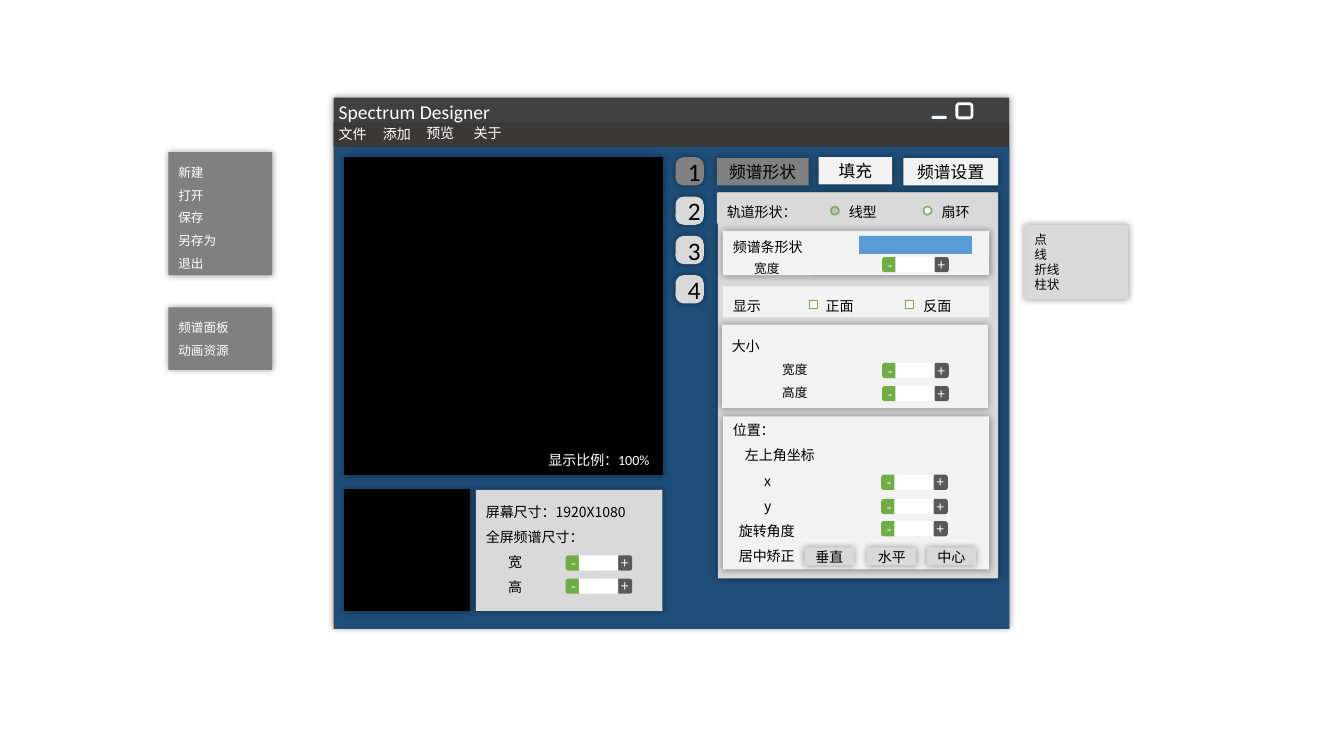
from lxml import etree
from pptx import Presentation
from pptx import util as u
from pptx.dml.color import RGBColor
from pptx.enum import shapes, text
from pptx.oxml.ns import qn

PX = 9144  # EMU per px, 100 px to the inch
CJK, LATIN = "Noto Sans CJK SC", "Calibri"
BLACK, WHITE = "000000", "FFFFFF"
LIGHT, PALE, GREY = "D9D9D9", "F2F2F2", "808080"
GREEN, DARK = "70AD47", "595959"
RECT = shapes.MSO_SHAPE.RECTANGLE
ROUND = shapes.MSO_SHAPE.ROUNDED_RECTANGLE
OVAL = shapes.MSO_SHAPE.OVAL
LEFT, CENTER = text.PP_ALIGN.LEFT, text.PP_ALIGN.CENTER
TOP, MIDDLE, BOTTOM = (text.MSO_ANCHOR.TOP, text.MSO_ANCHOR.MIDDLE,
                       text.MSO_ANCHOR.BOTTOM)


def rgb(value):
    return RGBColor.from_string(value)


def write(box, lines, size=10, color=BLACK, font=CJK, align=LEFT, anchor=MIDDLE,
          spacing=1.0, indents=(), sizes=(), inset=None):
    """Fill box with one paragraph per line; indents (px) and sizes go by line."""
    frame = box.text_frame
    frame.word_wrap = True
    frame.vertical_anchor = anchor
    if inset is not None:
        frame.margin_left = frame.margin_right = inset * PX
        frame.margin_top = frame.margin_bottom = inset * PX
    for index, line in enumerate(lines.split("\n")):
        para = frame.add_paragraph() if index else frame.paragraphs[0]
        para.alignment = align
        para.line_spacing = spacing
        if indents:
            para._p.get_or_add_pPr().set("marL", str(indents[index] * PX))
        span = para.add_run()
        span.text = line
        span.font.size = u.Pt(sizes[index] if sizes else size)
        span.font.color.rgb = rgb(color)
        span.font.name = font
        east = etree.SubElement(span._r.get_or_add_rPr(), qn("a:ea"))
        east.set("typeface", CJK)


class Mockup:
    """Draws interface parts on one page, with lengths in px."""

    def __init__(self, page):
        self.page = page

    def shape(self, x, y, w, h, fill=None, kind=RECT, line=None, weight=1,
              round_by=None, shadow=None):
        box = self.page.shapes.add_shape(kind, x * PX, y * PX, w * PX, h * PX)
        box.shadow.inherit = False
        if fill:
            box.fill.solid()
            box.fill.fore_color.rgb = rgb(fill)
        else:
            box.fill.background()
        if line:
            box.line.color.rgb = rgb(line)
            box.line.width = u.Pt(weight)
        else:
            box.line.fill.background()
        if round_by is not None:
            box.adjustments[0] = round_by
        if shadow:
            self.glow(box, shadow)
        return box

    def glow(self, box, color):
        """Give box a soft, centred shadow."""
        effects = box._element.spPr.find(qn("a:effectLst"))
        outer = etree.SubElement(effects, qn("a:outerShdw"), blurRad=str(u.Pt(5)),
                                 dist="0", dir="0", algn="ctr", rotWithShape="0")
        tint = etree.SubElement(outer, qn("a:srgbClr"), val=color)
        etree.SubElement(tint, qn("a:alpha"), val="40000")

    def panel(self, x, y, w, h, fill, **style):
        return self.shape(x, y, w, h, fill, shadow=BLACK, **style)

    def label(self, x, y, w, h, words, **style):
        box = self.page.shapes.add_textbox(x * PX, y * PX, w * PX, h * PX)
        write(box, words, **style)

    def button(self, x, y, w, h, words, fill, size, **style):
        write(self.panel(x, y, w, h, fill, **style), words, size=size, align=CENTER,
              font=LATIN if words.isdigit() else CJK)

    def stepper(self, x, y):
        for offset, width, sign, fill in ((0, 16, "-", GREEN), (51, 15, "+", DARK)):
            key = self.shape(x + offset, y, width, 15, fill, ROUND)
            write(key, sign, color=WHITE, align=CENTER, inset=0)
        self.shape(x + 13, y, 39, 15, WHITE)

    def option(self, x, y, kind, fill=WHITE):
        self.shape(x, y, 8, 8, fill, kind, line=GREEN)

    def menu(self, x, y, w, h, words, fill, **style):
        write(self.panel(x, y, w, h, fill), words, size=9, **style)


def draw_window(ui):
    ui.panel(331, 97, 670, 527, "404040")
    ui.shape(331, 122, 670, 24, "3B3838")
    ui.shape(925, 116, 13, 1, WHITE, ROUND, WHITE, 1.5, 0.5, "2E75B6")
    ui.shape(949, 103, 15, 14, None, ROUND, WHITE, 2)
    ui.shape(332, 146, 669, 478, "1F4E79")
    ui.label(326, 94, 187, 34, "Spectrum Designer", size=14, color=WHITE,
             font=LATIN, anchor=TOP)
    for x, y, words in ((326, 120, "文件"), (370, 120, "添加"),
                        (413, 119, "预览"), (460, 119, "关于")):
        ui.label(x, y, 50, 27, words, color=WHITE, anchor=TOP)


def draw_previews(ui):
    for y, w, h in ((156, 315, 315), (486, 124, 120)):
        ui.panel(342, y, w, h, BLACK, line=BLACK, weight=0.5)
    ui.label(531, 442, 126, 29, "显示比例：100%", color=WHITE, font=LATIN,
             align=CENTER)
    sizes = ui.panel(472, 486, 185, 120, LIGHT)
    write(sizes, "屏幕尺寸：1920X1080\n全屏频谱尺寸：\n宽\n高", anchor=TOP,
          spacing=1.5, indents=(0, 0, 22, 22))
    for y in (551, 574):
        ui.stepper(561, y)


def draw_tabs(ui):
    for index in range(4):
        ui.button(670, 156 + 39 * index, 28, 28, str(index + 1),
                  LIGHT if index else GREY, 18, kind=ROUND, round_by=0.288)
    for x, y, w, words, fill in ((711, 157, 91, "频谱形状", GREY),
                                 (812, 156, 73, "填充", PALE),
                                 (896, 157, 94, "频谱设置", PALE)):
        ui.button(x, y, w, 27, words, fill, 12)


def draw_settings(ui):
    ui.panel(712, 191, 278, 383, LIGHT)
    size_panel = ui.panel(716, 322, 264, 83, PALE)
    write(size_panel, "大小\n宽度\n高度", anchor=TOP, spacing=1.5,
          indents=(0, 50, 50), sizes=(10, 9, 9))

    ui.panel(717, 229, 264, 44, PALE)
    write(ui.shape(717, 229, 264, 24, PALE), "频谱条形状", spacing=1.5)
    ui.shape(852, 234, 112, 18, "5B9BD5")
    write(ui.shape(717, 253, 87, 20, PALE), "宽度", size=9, align=CENTER, spacing=1.5)

    write(ui.shape(717, 284, 264, 31, PALE), "显示", spacing=1.5)
    write(ui.shape(711, 191, 278, 31, LIGHT), "轨道形状：", spacing=1.5)
    for x, y, kind, fill in ((803, 298, RECT, WHITE), (898, 298, RECT, WHITE),
                             (824, 205, OVAL, "BFBFBF"), (916, 205, OVAL, WHITE)):
        ui.option(x, y, kind, fill)
    for x, y, words in ((809, 282, "正面"), (906, 282, "反面"),
                        (832, 189, "线型"), (924, 189, "扇环")):
        ui.label(x, y, 55, 35, words, anchor=TOP, spacing=1.5)

    place_panel = ui.panel(717, 413, 264, 152, PALE)
    write(place_panel, "位置：\n左上角坐标\nx\ny\n旋转角度\n居中矫正", anchor=BOTTOM,
          spacing=1.5, indents=(0, 12, 31, 31, 6, 6))
    for x, words in ((798, "垂直"), (860, "水平"), (919, "中心")):
        ui.button(x, 543, 49, 18, words, LIGHT, 10)
    for x, y in ((875, 255), (875, 360), (875, 383),
                 (874, 471), (874, 495), (874, 517)):
        ui.stepper(x, y)


def draw_menus(ui):
    ui.menu(1016, 223, 103, 74, "点\n线\n折线\n柱状", LIGHT)
    ui.menu(167, 151, 103, 122, "新建\n打开\n保存\n另存为\n退出", GREY,
            color=WHITE, anchor=TOP, spacing=1.5)
    ui.menu(167, 305, 103, 62, "频谱面板\n动画资源", GREY,
            color=WHITE, anchor=TOP, spacing=1.5)


def main():
    deck = Presentation()
    deck.slide_width, deck.slide_height = 1333 * PX, 750 * PX
    ui = Mockup(deck.slides.add_slide(deck.slide_layouts[6]))
    for draw in (draw_window, draw_previews, draw_tabs, draw_settings, draw_menus):
        draw(ui)
    deck.save("out.pptx")


if __name__ == "__main__":
    main()
